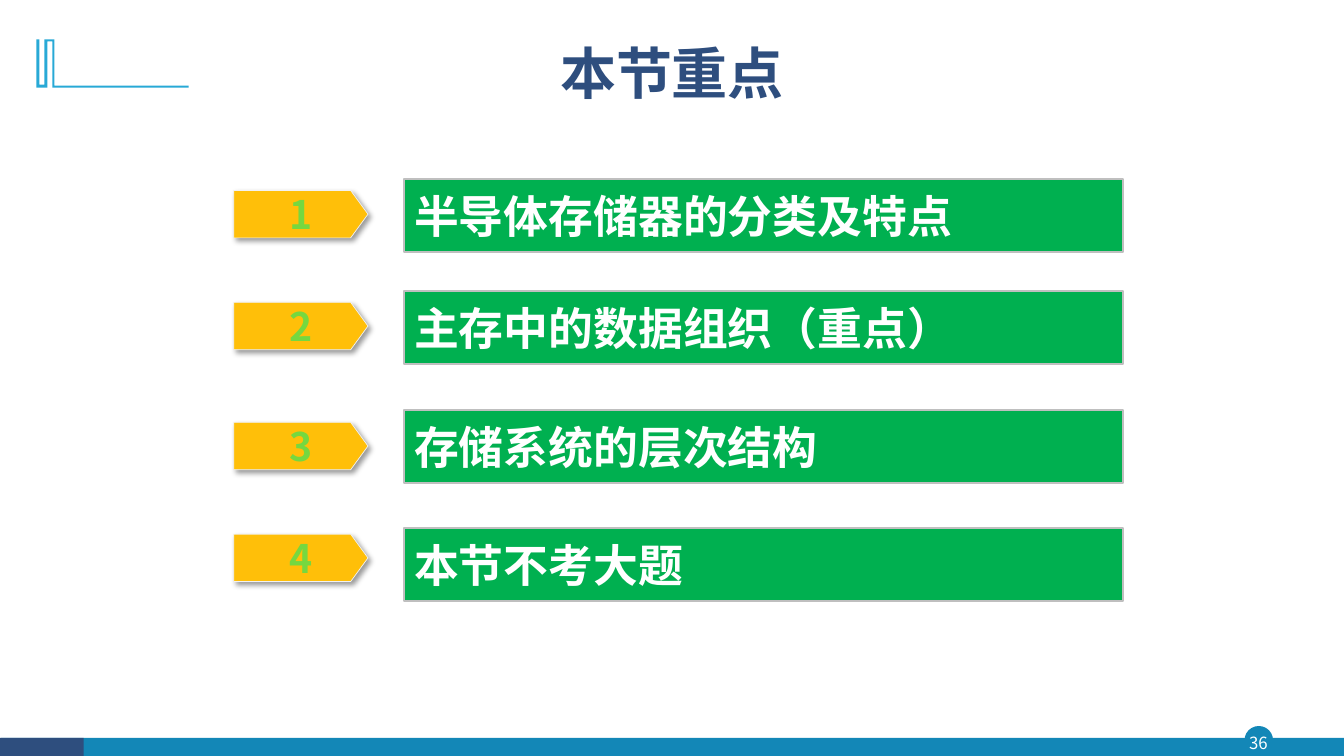
from lxml import etree
from pptx import Presentation
from pptx.dml.color import RGBColor
from pptx.enum import shapes, text
from pptx.oxml import parse_xml
from pptx.oxml.ns import qn
from pptx.util import Inches, Pt

FONT = "Noto Sans CJK SC"
COLORS = {
    "navy": "2E4E7E", "blue": "1387B7", "sky": "28A9D6", "white": "FFFFFF",
    "amber": "FFBF09", "pale": "F2F2F2", "green": "00B050",
    "lime": "75D840", "gray": "BFBFBF",
}
SHADOW = (
    '<a:effectLst xmlns:a="http://schemas.openxmlformats.org/drawingml/2006/main">'
    '<a:outerShdw blurRad="50800" dist="38100" dir="2700000" algn="tl" rotWithShape="0">'
    '<a:srgbClr val="000000"><a:alpha val="40000"/></a:srgbClr>'
    '</a:outerShdw></a:effectLst>'
)


class SlideBuilder:
    def __init__(self, page):
        self.page = page

    def color(self, name):
        return RGBColor.from_string(COLORS[name])

    def paint(self, shape, fill, line=None, width=1):
        shape.shadow.inherit = False
        shape.fill.solid()
        shape.fill.fore_color.rgb = self.color(fill)
        if line:
            shape.line.color.rgb = self.color(line)
            shape.line.width = Pt(width)
        else:
            shape.line.fill.background()

    def shape(self, kind, place, fill, line=None, width=1):
        shape = self.page.shapes.add_shape(kind, *map(Inches, place))
        self.paint(shape, fill, line, width)
        return shape

    def outline(self, points, fill):
        corners = [(Inches(x), Inches(y)) for x, y in points]
        builder = self.page.shapes.build_freeform(*corners[0], scale=1.0)
        builder.add_line_segments(corners[1:], close=True)
        self.paint(builder.convert_to_shape(), fill)

    def set_text(self, shape, words, size, color, bold=True, centered=True, inset=True):
        frame = shape.text_frame
        frame.word_wrap = True
        frame.vertical_anchor = text.MSO_ANCHOR.MIDDLE
        if not inset:
            frame.margin_left = frame.margin_right = 0
            frame.margin_top = frame.margin_bottom = 0
        para = frame.paragraphs[0]
        para.text = words
        para.alignment = text.PP_ALIGN.CENTER if centered else text.PP_ALIGN.LEFT
        font = para.font
        font.size, font.bold, font.name = Pt(size), bold, FONT
        font.color.rgb = self.color(color)
        # East Asian characters need their own typeface entry
        properties = para._p.pPr.find(qn("a:defRPr"))
        etree.SubElement(properties, qn("a:ea")).set("typeface", FONT)
        return para

    def label(self, place, words, size, color, **style):
        box = self.page.shapes.add_textbox(*map(Inches, place))
        return self.set_text(box, words, size, color, **style)

    def number_tag(self, top, number):
        tag = self.shape(shapes.MSO_SHAPE.PENTAGON, (2.32, top, 1.33, 0.47),
                         "amber", "pale", 0.5)
        tag.adjustments[0] = 0.365
        properties = tag._element.spPr
        properties.replace(properties.find(qn("a:effectLst")), parse_xml(SHADOW))
        self.set_text(tag, f" {number}", 28, "lime", inset=False)

    def topic_bar(self, top, words):
        bar = self.shape(shapes.MSO_SHAPE.RECTANGLE, (4.01, top, 7.13, 0.72),
                         "green", "gray", 1.5)
        self.set_text(bar, words, 32, "white", centered=False)


def main():
    deck = Presentation()
    deck.slide_width, deck.slide_height = Inches(13.33), Inches(7.5)
    slide = SlideBuilder(deck.slides.add_slide(deck.slide_layouts[6]))

    # Footer band and page number
    slide.shape(shapes.MSO_SHAPE.OVAL, (12.35, 7.21, 0.27, 0.27), "blue", "blue")
    slide.shape(shapes.MSO_SHAPE.RECTANGLE, (0.01, 7.32, 13.32, 0.19), "blue")
    slide.shape(shapes.MSO_SHAPE.RECTANGLE, (0, 7.32, 0.83, 0.19), "navy")
    slide.label((12.32, 7.21, 0.32, 0.31), "36", 12, "white", bold=False, inset=False)

    # Corner ornament
    slide.outline([
        (0.54, 0.39), (0.54, 0.85), (1.87, 0.85), (1.87, 0.87), (0.52, 0.87),
        (0.52, 0.41), (0.47, 0.41), (0.47, 0.87), (0.36, 0.87), (0.36, 0.39),
        (0.39, 0.39), (0.39, 0.84), (0.44, 0.84), (0.44, 0.39),
    ], "sky")

    # Title
    title = slide.label((3.1, 0.2, 7.13, 1.12), "本节重点", 40, "navy")
    title.line_spacing = 0.9

    # Numbered topics: tag top, bar top, wording
    topics = [
        (1.89, 1.78, "半导体存储器的分类及特点"),
        (3.0, 2.89, "主存中的数据组织（重点）"),
        (4.19, 4.07, "存储系统的层次结构"),
        (5.3, 5.24, "本节不考大题"),
    ]
    for number, (tag_top, bar_top, words) in enumerate(topics, 1):
        slide.number_tag(tag_top, number)
        slide.topic_bar(bar_top, words)

    deck.save("out.pptx")


if __name__ == "__main__":
    main()
